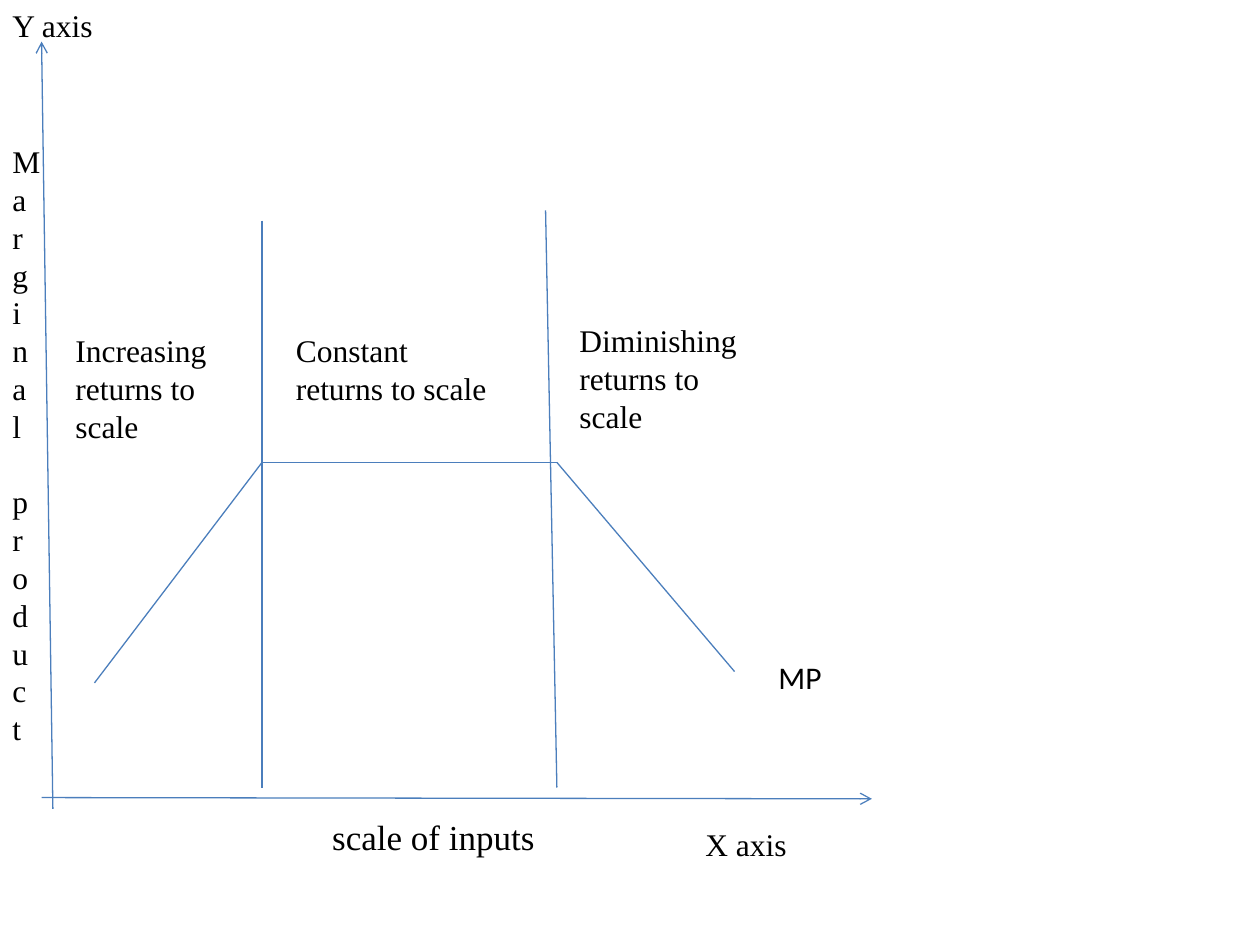
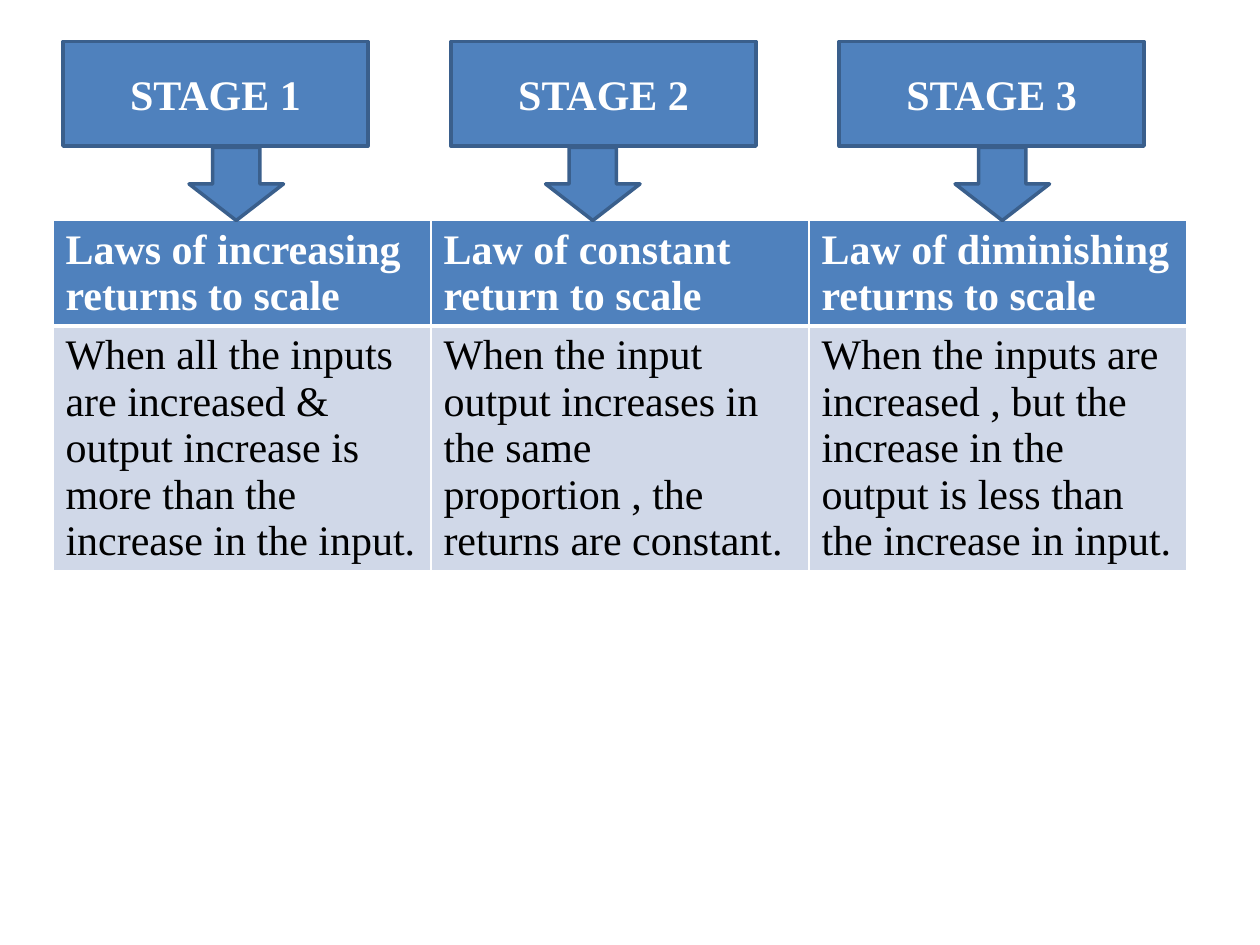
from typing import NamedTuple

import pptx
import pptx.dml.color
import pptx.enum.shapes
import pptx.enum.text
import pptx.oxml
import pptx.oxml.ns
import pptx.slide
import pptx.text.text
import pptx.util

RGBColor = pptx.dml.color.RGBColor
Inches = pptx.util.Inches
Pt = pptx.util.Pt
Align = pptx.enum.text.PP_ALIGN
Shape = pptx.enum.shapes.MSO_SHAPE
Slide = pptx.slide.Slide

BLUE = RGBColor(0x4F, 0x81, 0xBD)
DARK_BLUE = RGBColor(0x3A, 0x5F, 0x8C)
LINE_BLUE = RGBColor(0x4B, 0x7E, 0xBC)
PALE_BLUE = RGBColor(0xD0, 0xD8, 0xE8)
WHITE = RGBColor(0xFF, 0xFF, 0xFF)
BLACK = RGBColor(0x00, 0x00, 0x00)

SERIF = "Times New Roman"
SANS = "Calibri"
BLANK_LAYOUT = 6


class Line(NamedTuple):
    start: tuple[float, float]
    end: tuple[float, float]
    arrow: bool = False


class Label(NamedTuple):
    text: str
    left: float
    top: float
    width: float
    height: float
    size: int = 18
    font: str = SERIF
    align: Align = Align.LEFT


class Stage(NamedTuple):
    name: str
    arrow_left: float
    law: str
    meaning: str


CURVE = [(0.75, 5.42), (2.08, 3.67), (4.42, 3.67), (5.83, 5.33)]
LINES = [
    Line((0.42, 6.42), (0.33, 0.33), arrow=True),
    Line((0.33, 6.33), (6.92, 6.34), arrow=True),
    *(Line(start, end) for start, end in zip(CURVE, CURVE[1:])),
    Line((2.08, 1.75), (2.08, 6.25)),
    Line((4.33, 1.67), (4.42, 6.25)),
]
LABELS = [
    Label("scale of inputs", 1.05, 6.42, 4.78, 0.44, size=20, align=Align.CENTER),
    Label("Increasing returns to scale", 0.5, 2.58, 1.42, 1.01),
    Label("Constant returns to scale", 2.25, 2.58, 1.83, 0.71),
    Label("Diminishing returns to scale", 4.5, 2.5, 1.67, 1.01),
    Label("X axis", 5.5, 6.5, 1.25, 0.4),
    Label("Y axis", 0, 0, 1.25, 0.4),
    Label("Marginal product", 0, 1.08, 0.25, 4.95),
    Label("MP", 6.08, 5.17, 1.08, 0.4, font=SANS),
]

STAGES = [
    Stage("STAGE 1", 1.5, "Laws of increasing returns to scale",
          "When all the inputs are increased & output increase is more than "
          "the increase in the input."),
    Stage("STAGE 2", 4.33, "Law of constant return to scale",
          "When the input output increases in the same proportion , "
          "the returns are constant."),
    Stage("STAGE 3", 7.58, "Law of diminishing returns to scale",
          "When the inputs are increased , but the increase in the output is "
          "less than the increase in input."),
]
STAGE_LEFT = 0.5
STAGE_PITCH = 3.08
COLUMN_WIDTH = 3
ROW_HEIGHTS = (0.83, 1.93)


def style_paragraph(para: pptx.text.text._Paragraph, size: int, color: RGBColor,
                    font: str = SERIF, bold: bool = False,
                    align: Align = Align.LEFT) -> None:
    para.alignment = align
    para.font.name = font
    para.font.size = Pt(size)
    para.font.bold = bold
    para.font.color.rgb = color


def add_line(page: Slide, line: Line) -> None:
    ends = [Inches(value) for value in (*line.start, *line.end)]
    connector = page.shapes.add_connector(
        pptx.enum.shapes.MSO_CONNECTOR.STRAIGHT, *ends)
    connector.line.color.rgb = LINE_BLUE
    connector.line.width = Pt(0.75)
    if line.arrow:
        tail = pptx.oxml.ns.qn("a:tailEnd")
        connector.line._get_or_add_ln().makeelement(tail)
        pptx.oxml.parse_xml  # parser shared with the cell borders
        connector.line._get_or_add_ln().append(make_element("tailEnd", 'type="arrow"'))
    connector._element.spPr.append(make_element("effectLst"))


def make_element(tag: str, attributes: str = "", content: str = ""):
    """Return a DrawingML element."""
    namespace = pptx.oxml.ns.nsdecls("a")
    return pptx.oxml.parse_xml(f"<a:{tag} {namespace} {attributes}>{content}</a:{tag}>")


def add_label(page: Slide, label: Label) -> None:
    box = page.shapes.add_textbox(Inches(label.left), Inches(label.top),
                                  Inches(label.width), Inches(label.height))
    box.text_frame.word_wrap = True
    box.text_frame.text = label.text
    style_paragraph(box.text_frame.paragraphs[0], label.size, BLACK,
                    font=label.font, align=label.align)


def add_block(page: Slide, kind: Shape, left: float, top: float,
              width: float, height: float, text: str = "") -> None:
    """Add a filled, outlined shape with an optional centred caption."""
    block = page.shapes.add_shape(kind, Inches(left), Inches(top),
                                  Inches(width), Inches(height))
    block.shadow.inherit = False
    block.fill.solid()
    block.fill.fore_color.rgb = BLUE
    block.line.color.rgb = DARK_BLUE
    block.line.width = Pt(2)
    if text:
        block.text_frame.text = text
        block.text_frame.vertical_anchor = pptx.enum.text.MSO_ANCHOR.MIDDLE
        style_paragraph(block.text_frame.paragraphs[0], 24, WHITE,
                        bold=True, align=Align.CENTER)


def fill_cell(cell: pptx.table._Cell, text: str, is_header: bool) -> None:
    properties = cell._tc.get_or_add_tcPr()
    divider = "B" if is_header else "T"
    for side in "LRTB":
        width = Pt(3 if side == divider else 1)
        properties.append(make_element(
            f"ln{side}", f'w="{width}"',
            f'<a:solidFill><a:srgbClr val="{WHITE}"/></a:solidFill>'))
    cell.fill.solid()
    cell.fill.fore_color.rgb = BLUE if is_header else PALE_BLUE
    cell.text = text
    style_paragraph(cell.text_frame.paragraphs[0], 24,
                    WHITE if is_header else BLACK, bold=is_header)


def add_law_table(page: Slide) -> None:
    table = page.shapes.add_table(
        len(ROW_HEIGHTS), len(STAGES), Inches(0.42), Inches(1.75),
        Inches(COLUMN_WIDTH * len(STAGES)), Inches(sum(ROW_HEIGHTS))).table
    for row, height in zip(table.rows, ROW_HEIGHTS):
        row.height = Inches(height)
    for column, stage in enumerate(STAGES):
        table.columns[column].width = Inches(COLUMN_WIDTH)
        fill_cell(table.cell(0, column), stage.law, is_header=True)
        fill_cell(table.cell(1, column), stage.meaning, is_header=False)


def build_returns_diagram(page: Slide) -> None:
    for line in LINES:
        add_line(page, line)
    for label in LABELS:
        add_label(page, label)


def build_stages(page: Slide) -> None:
    add_law_table(page)
    for index, stage in enumerate(STAGES):
        add_block(page, Shape.RECTANGLE, STAGE_LEFT + index * STAGE_PITCH, 0.33,
                  2.42, 0.83, stage.name)
        add_block(page, Shape.DOWN_ARROW, stage.arrow_left, 1.17, 0.75, 0.58)


def main() -> None:
    deck = pptx.Presentation()
    deck.slide_width = Inches(10)
    deck.slide_height = Inches(7.5)
    for build in (build_returns_diagram, build_stages):
        build(deck.slides.add_slide(deck.slide_layouts[BLANK_LAYOUT]))
    deck.save("out.pptx")


if __name__ == "__main__":
    main()
